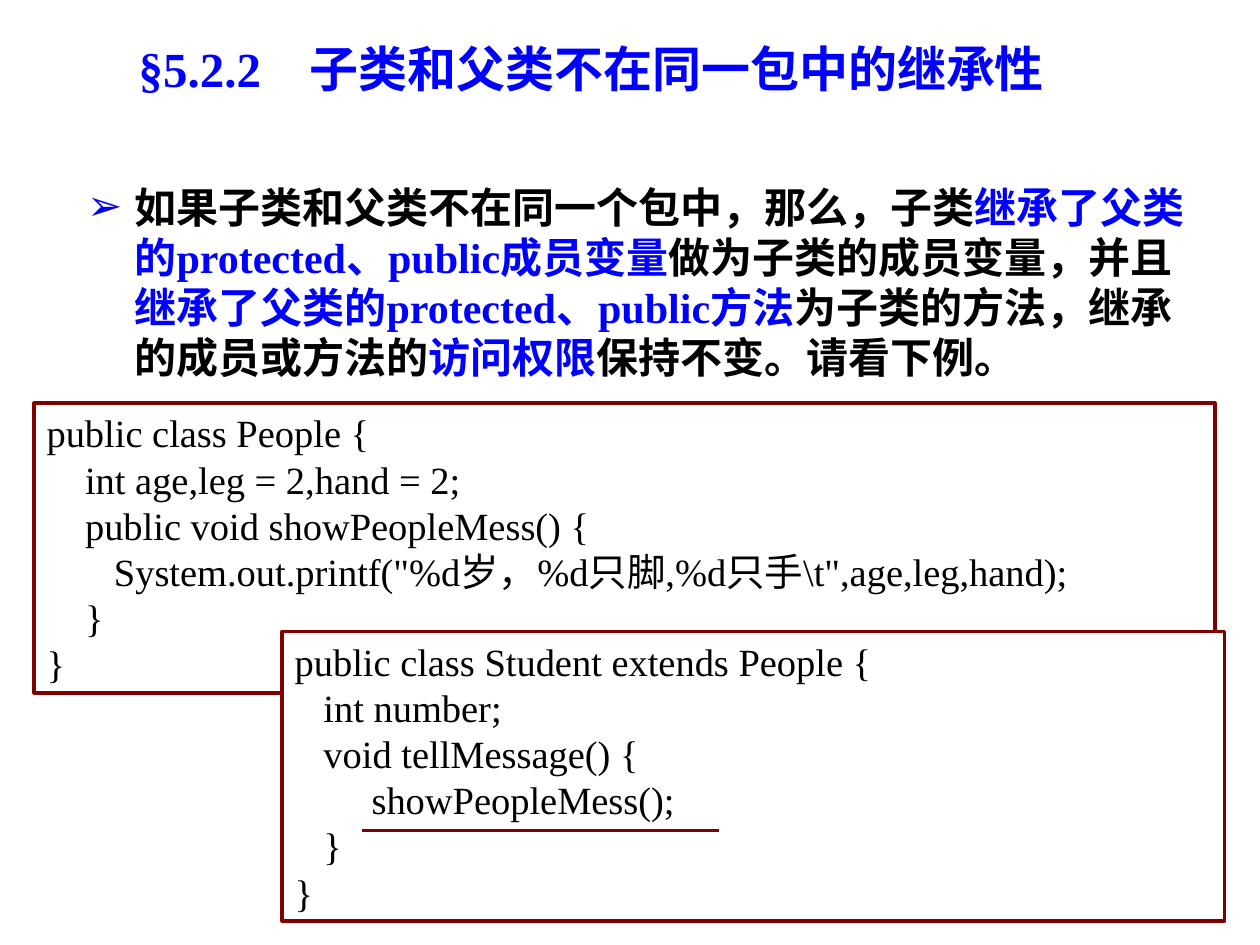
from lxml import etree
from pptx import Presentation
from pptx import util as u
from pptx.dml.color import RGBColor
from pptx.enum import shapes, text
from pptx.oxml.ns import qn

BLUE, BLACK, MAROON, WHITE = "0000FF", "000000", "800000", "FFFFFF"
SERIF, CJK = "Times New Roman", "Noto Sans CJK SC"
SPACE = 0.194  # cm, one space of the code font

BODY = [
    ("如果子类和父类不在同一个包中，那么，子类", BLACK),
    ("继承了父类的protected、public成员变量", BLUE),
    ("做为子类的成员变量，并且", BLACK),
    ("继承了父类的protected、public方法", BLUE),
    ("为子类的方法，继承的成员或方法的", BLACK),
    ("访问权限", BLUE),
    ("保持不变。请看下例。", BLACK),
]
# Each code line: indent in spaces, wording
PEOPLE = [
    (0, "public class People {"),
    (4, "int age,leg = 2,hand = 2;"),
    (4, "public void showPeopleMess() {"),
    (7, r'System.out.printf("%d岁，%d只脚,%d只手\t",age,leg,hand);'),
    (4, "}"),
    (0, "}"),
]
STUDENT = [
    (0, "public class Student extends People {"),
    (3, "int number;"),
    (3, "void tellMessage() {"),
    (8, "showPeopleMess();"),
    (3, "}"),
    (0, "}"),
]


def color(value):
    return RGBColor.from_string(value)


def style_font(font, size, bold=False, name=SERIF):
    font.size, font.bold, font.name = u.Pt(size), bold, name
    east_asian = etree.SubElement(font._element, qn("a:ea"))
    east_asian.set("typeface", CJK)


def set_indent(para, left, first=0):
    properties = para._p.get_or_add_pPr()
    properties.set("marL", str(u.Cm(left)))
    properties.set("indent", str(u.Cm(first)))
    return properties


def add_span(para, wording, fill):
    span = para.add_run()
    span.text = wording
    span.font.color.rgb = color(fill)
    return span


def place(box, left, top, width, height):
    box.left, box.top = u.Cm(left), u.Cm(top)
    box.width, box.height = u.Cm(width), u.Cm(height)
    box.text_frame.word_wrap = True
    box.text_frame.auto_size = text.MSO_AUTO_SIZE.NONE


def fill_title(title):
    place(title, 2.18, 0.58, 19.48, 1.57)
    title.text_frame.vertical_anchor = text.MSO_ANCHOR.MIDDLE
    para = title.text_frame.paragraphs[0]
    para.alignment = text.PP_ALIGN.CENTER
    for wording, name in (("§5.2.2", SERIF), ("　子类和父类不在同一包中的继承性", CJK)):
        style_font(add_span(para, wording, BLUE).font, 28, True, name)


def fill_body(body):
    place(body, 1.5, 3.53, 22.81, 4.39)
    para = body.text_frame.paragraphs[0]
    para.space_before, para.line_spacing = u.Pt(6), u.Pt(28.7)
    properties = set_indent(para, 0.96, -0.96)
    bullet_color = etree.SubElement(properties, qn("a:buClr"))
    etree.SubElement(bullet_color, qn("a:srgbClr")).set("val", BLUE)
    etree.SubElement(properties, qn("a:buChar")).set("char", "➢")
    style_font(para.font, 24, True)
    for wording, fill in BODY:
        add_span(para, wording, fill)


def add_code_box(page, lines, left, top, width, height):
    box = page.shapes.add_shape(
        shapes.MSO_SHAPE.RECTANGLE, u.Cm(left), u.Cm(top), u.Cm(width), u.Cm(height))
    box.shadow.inherit = False
    box.fill.solid()
    box.fill.fore_color.rgb = color(WHITE)
    box.line.color.rgb = color(MAROON)
    box.line.width = u.Pt(2)
    frame = box.text_frame
    frame.word_wrap = True
    frame.auto_size = text.MSO_AUTO_SIZE.SHAPE_TO_FIT_TEXT
    frame.vertical_anchor = text.MSO_ANCHOR.TOP
    for number, (spaces, wording) in enumerate(lines):
        para = frame.add_paragraph() if number else frame.paragraphs[0]
        para.alignment = text.PP_ALIGN.LEFT
        para.line_spacing = u.Pt(26.4)
        set_indent(para, spaces * SPACE)
        style_font(para.font, 22)
        para.font.color.rgb = color(BLACK)
        para.add_run().text = wording


def add_underline(page, left, right, y):
    line = page.shapes.add_connector(
        shapes.MSO_CONNECTOR.STRAIGHT, u.Cm(left), u.Cm(y), u.Cm(right), u.Cm(y))
    line.line.color.rgb = color(MAROON)
    line.line.width = u.Pt(2)
    etree.SubElement(line._element.spPr, qn("a:effectLst"))


def main():
    deck = Presentation()
    deck.slide_width, deck.slide_height = u.Cm(25.4), u.Cm(19.05)
    page = deck.slides.add_slide(deck.slide_layouts[1])
    fill_title(page.shapes.title)
    fill_body(page.placeholders[1])
    add_code_box(page, PEOPLE, 0.69, 8.13, 23.8, 5.84)
    add_code_box(page, STUDENT, 5.69, 12.73, 19, 5.84)
    add_underline(page, 7.29, 14.5, 16.74)
    deck.save("out.pptx")


if __name__ == "__main__":
    main()
